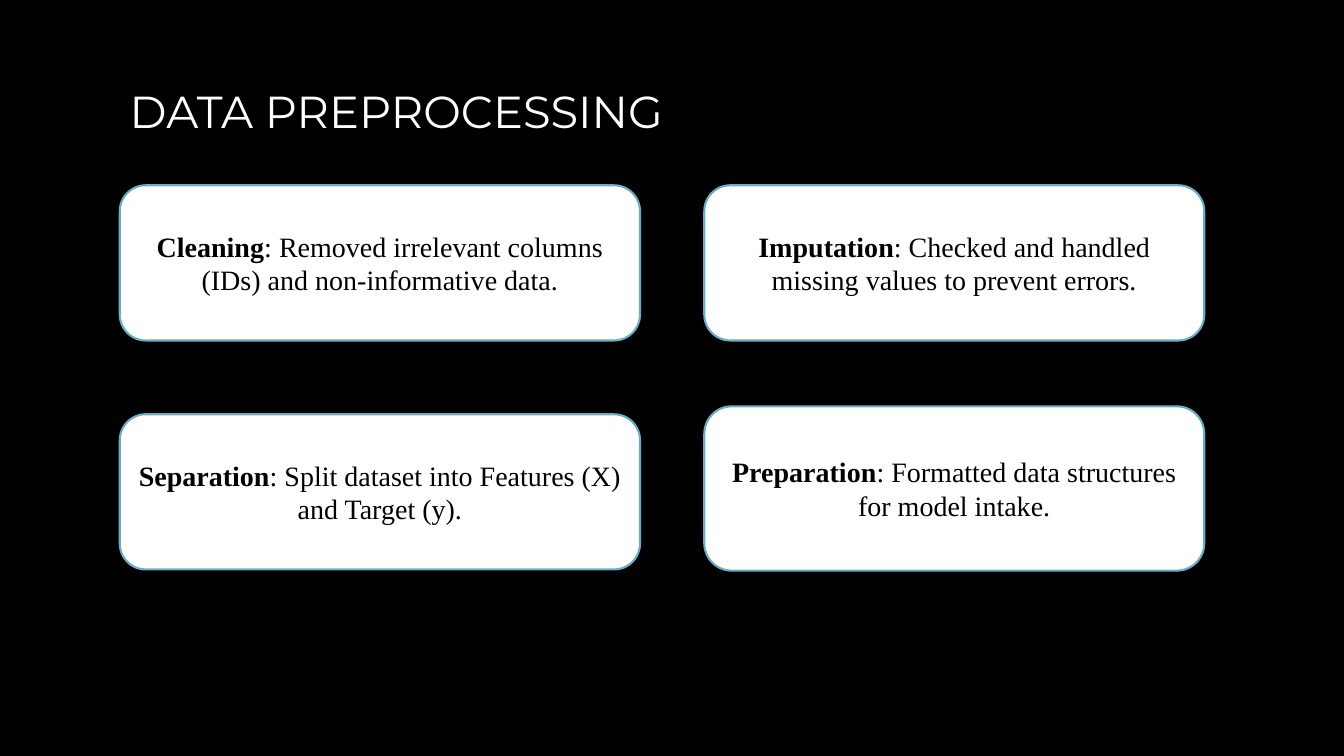
from dataclasses import dataclass

import pptx
import pptx.dml.color
import pptx.enum.shapes
import pptx.enum.text
import pptx.util

Cm = pptx.util.Cm
Pt = pptx.util.Pt
RGBColor = pptx.dml.color.RGBColor


@dataclass(frozen=True)
class Theme:
    background: RGBColor = RGBColor(0x00, 0x00, 0x00)
    title_color: RGBColor = RGBColor(0xFF, 0xFF, 0xFF)
    card_fill: RGBColor = RGBColor(0xFF, 0xFF, 0xFF)
    card_line: RGBColor = RGBColor(0x6A, 0xAD, 0xC8)
    card_text: RGBColor = RGBColor(0x00, 0x00, 0x00)
    title_font: str = "Montserrat"
    card_font: str = "Times New Roman"
    title_size: int = Pt(32)
    card_size: int = Pt(20)
    line_width: int = Pt(1.5)


THEME = Theme()
LEFT_COLUMN = (Cm(3.02), Cm(13.11))
RIGHT_COLUMN = (Cm(17.75), Cm(12.6))
TOP_ROW = (Cm(4.67), Cm(3.91))
LOWER_LEFT_ROW = (Cm(10.44), Cm(3.91))
LOWER_RIGHT_ROW = (Cm(10.24), Cm(4.14))

STEPS = [
    (LEFT_COLUMN, TOP_ROW, "Cleaning",
     ": Removed irrelevant columns (IDs) and non-informative data."),
    (RIGHT_COLUMN, TOP_ROW, "Imputation",
     ": Checked and handled missing values to prevent errors."),
    (LEFT_COLUMN, LOWER_LEFT_ROW, "Separation",
     ": Split dataset into Features (X) and Target (y)."),
    (RIGHT_COLUMN, LOWER_RIGHT_ROW, "Preparation",
     ": Formatted data structures for model intake."),
]


def style_span(span, font_name, size, color, bold=False):
    span.font.name = font_name
    span.font.size = size
    span.font.color.rgb = color
    span.font.bold = bold


def add_title(page, text):
    box = page.shapes.add_textbox(LEFT_COLUMN[0], Cm(1.19), Cm(17.48), Cm(2.39))
    frame = box.text_frame
    frame.word_wrap = True
    frame.vertical_anchor = pptx.enum.text.MSO_ANCHOR.BOTTOM
    frame.text = text
    style_span(frame.paragraphs[0].runs[0], THEME.title_font,
               THEME.title_size, THEME.title_color)


def add_step_card(page, column, row, name, description):
    left, width = column
    top, height = row
    card = page.shapes.add_shape(
        pptx.enum.shapes.MSO_SHAPE.ROUNDED_RECTANGLE, left, top, width, height)
    card.shadow.inherit = False
    card.fill.solid()
    card.fill.fore_color.rgb = THEME.card_fill
    card.line.color.rgb = THEME.card_line
    card.line.width = THEME.line_width
    frame = card.text_frame
    frame.word_wrap = True
    frame.vertical_anchor = pptx.enum.text.MSO_ANCHOR.MIDDLE
    para = frame.paragraphs[0]
    para.alignment = pptx.enum.text.PP_ALIGN.CENTER
    for text, bold in ((name, True), (description, False)):
        span = para.add_run()
        span.text = text
        style_span(span, THEME.card_font, THEME.card_size, THEME.card_text, bold)


def main():
    deck = pptx.Presentation()
    deck.slide_width = Cm(33.87)
    deck.slide_height = Cm(19.05)
    page = deck.slides.add_slide(deck.slide_layouts[6])
    page.background.fill.solid()
    page.background.fill.fore_color.rgb = THEME.background
    add_title(page, "DATA PREPROCESSING")
    for step in STEPS:
        add_step_card(page, *step)
    deck.save("out.pptx")


if __name__ == "__main__":
    main()
